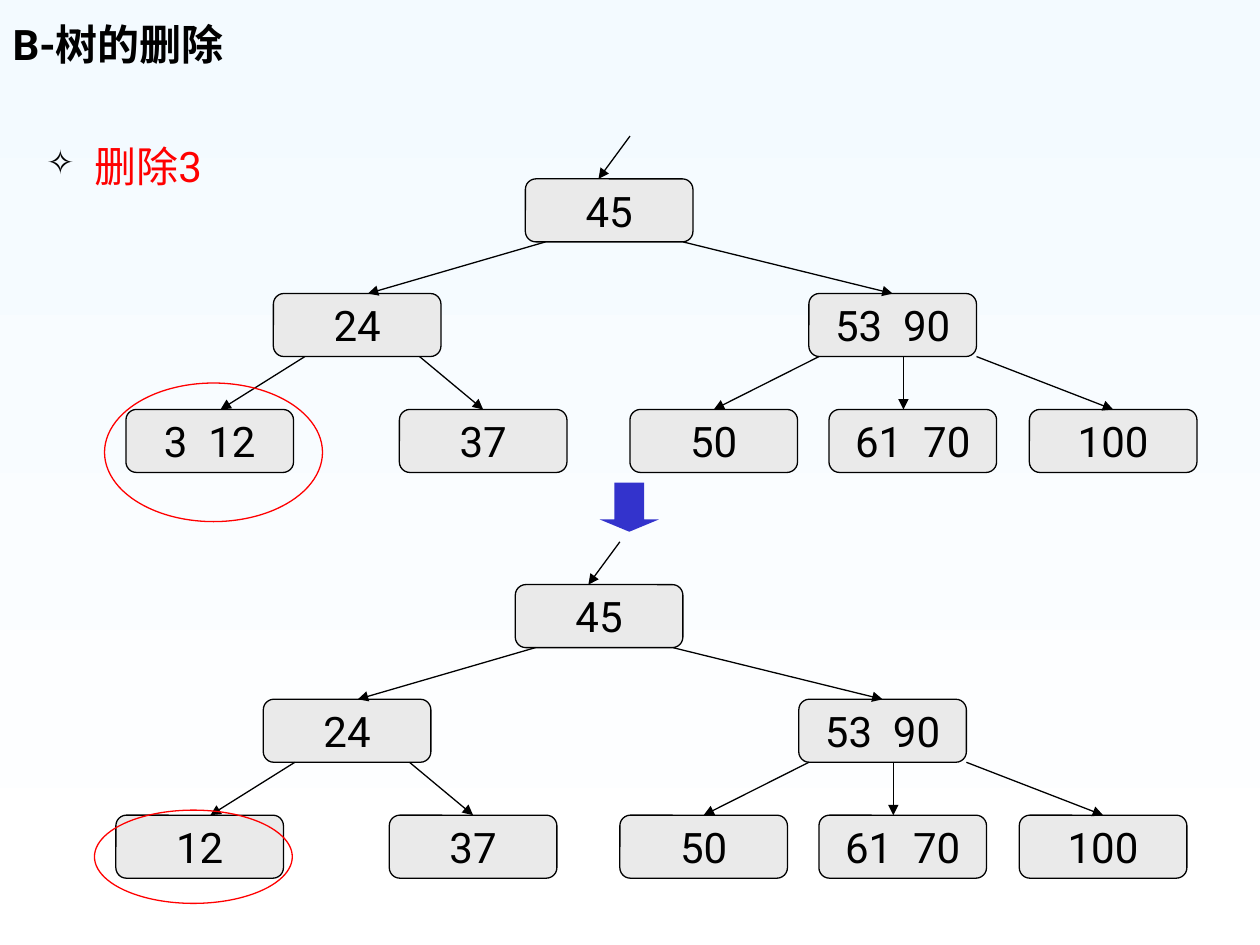
from lxml.etree import SubElement
from pptx import Presentation
from pptx.dml.color import RGBColor
from pptx.enum.shapes import MSO_CONNECTOR as Link, MSO_SHAPE as Kind
from pptx.enum.text import MSO_ANCHOR as Anchor, PP_ALIGN as Align
from pptx.oxml.ns import qn
from pptx.util import Inches, Pt

HEX = {"ink": "000000", "node": "EAEAEA", "mark": "FF0000", "arrow": "3333CC",
       "sky": "F3FAFF", "white": "FFFFFF"}
WIDE, HIGH = 1.33, 0.5
ROWS = [1.42, 2.33, 3.25]
NODES = {"root": (4.17, 0, "45"), "left": (2.17, 1, "24"), "right": (6.42, 1, "53  90"),
         "low": (1, 2, "3  12"), "next": (3.17, 2, "37"), "mid": (5, 2, "50"),
         "pair": (6.58, 2, "61  70"), "last": (8.17, 2, "100")}
EDGES = [(4.33, 2.92, 1, None), (5.42, 7.08, 1, "right"), (2.42, 1.75, 2, None),
         (3.33, 3.83, 2, "next"), (6.5, 5.67, 2, "mid"), (7.17, 7.17, 2, None),
         (7.75, 8.83, 2, "last")]


def tint(name):
    """Return the named colour."""
    return RGBColor.from_string(HEX[name])


def write(shape, text, size=24, color="ink", bold=False, align=Align.LEFT,
          anchor=Anchor.TOP, wrap=True, bullet=None):
    """Put formatted text into a shape."""
    frame = shape.text_frame
    frame.word_wrap = wrap
    frame.vertical_anchor = anchor
    frame.text = text
    para = frame.paragraphs[0]
    para.alignment = align
    para.space_before = Pt(0)
    if bullet:
        add_mark(para, bullet)
    font = para.runs[0].font
    font.name, font.size, font.bold = "Roboto", Pt(size), bold
    font.color.rgb = tint(color)


def add_mark(para, char):
    """Give a paragraph a hanging bullet."""
    props = para._p.get_or_add_pPr()
    props.set("marL", str(Inches(0.38)))
    props.set("indent", str(Inches(-0.38)))
    shade = SubElement(props, qn("a:buClr"))
    SubElement(shade, qn("a:srgbClr"), val=HEX["ink"])
    SubElement(props, qn("a:buSzPct"), val="80000")
    SubElement(props, qn("a:buChar"), char=char)


def add_form(slide, kind, box, fill=None, line=None):
    """Add a preset shape with an optional fill and line."""
    shape = slide.shapes.add_shape(kind, *map(Inches, box))
    shape.shadow.inherit = False
    if fill:
        shape.fill.solid()
        shape.fill.fore_color.rgb = tint(fill)
    else:
        shape.fill.background()
    if line:
        shape.line.color.rgb = tint(line)
        shape.line.width = Pt(0.75)
    else:
        shape.line.fill.background()
    return shape


def add_edge(slide, start, end, node=None):
    """Add an arrow, joined to the top of a node if one is given."""
    edge = slide.shapes.add_connector(Link.STRAIGHT, *map(Inches, start + end))
    edge.line.color.rgb = tint("ink")
    edge.line.width = Pt(0.75)
    SubElement(edge.line._get_or_add_ln(), qn("a:tailEnd"), type="triangle")
    SubElement(edge._element.spPr, qn("a:effectLst"))
    if node is not None:
        edge.end_connect(node, 0)


def add_tree(slide, dx=0, dy=0, **swap):
    """Draw the tree at an offset, with some labels swapped."""
    boxes = {}
    for name, (x, row, label) in NODES.items():
        box = add_form(slide, Kind.ROUNDED_RECTANGLE,
                       (x + dx, ROWS[row] + dy, WIDE, HIGH), "node", "ink")
        write(box, swap.get(name, label), align=Align.CENTER,
              anchor=Anchor.MIDDLE, wrap=False)
        boxes[name] = box
    for x1, x2, row, name in EDGES:
        add_edge(slide, (x1 + dx, ROWS[row - 1] + HIGH + dy),
                 (x2 + dx, ROWS[row] + dy), boxes.get(name))
    add_edge(slide, (5 + dx, 1.08 + dy), (4.75 + dx, ROWS[0] + dy))


def add_title(slide, text):
    """Place and fill the title."""
    title = slide.shapes.title
    title.left, title.top, title.width, title.height = map(Inches, (0, 0, 8.52, 0.6))
    write(title, text, bold=True, anchor=Anchor.BOTTOM)


def add_sky(slide):
    """Fill the background with a vertical gradient."""
    fill = slide.background.fill
    fill.gradient()
    fill.gradient_angle = 270
    for stop, name, place in zip(fill.gradient_stops, ("sky", "white"), (0, 1)):
        stop.color.rgb = tint(name)
        stop.position = place


def main():
    """Build and save the slide."""
    deck = Presentation()
    deck.slide_width, deck.slide_height = Inches(10), Inches(7.5)
    slide = deck.slides.add_slide(deck.slide_layouts[5])
    add_sky(slide)
    add_title(slide, "B-树的删除")
    add_tree(slide)
    note = slide.shapes.add_textbox(*map(Inches, (0.27, 1.07, 4.25, 1.34)))
    write(note, "删除3", color="mark", bullet="✧")
    add_form(slide, Kind.OVAL, (0.83, 3.04, 1.73, 1.1), line="mark")
    add_tree(slide, -0.08, 3.22, low="12")
    add_form(slide, Kind.OVAL, (0.75, 6.43, 1.57, 0.74), line="mark")
    arrow = add_form(slide, Kind.DOWN_ARROW, (4.76, 3.83, 0.47, 0.39), "arrow")
    arrow.adjustments[1] = 0.25
    deck.save("out.pptx")


if __name__ == "__main__":
    main()
